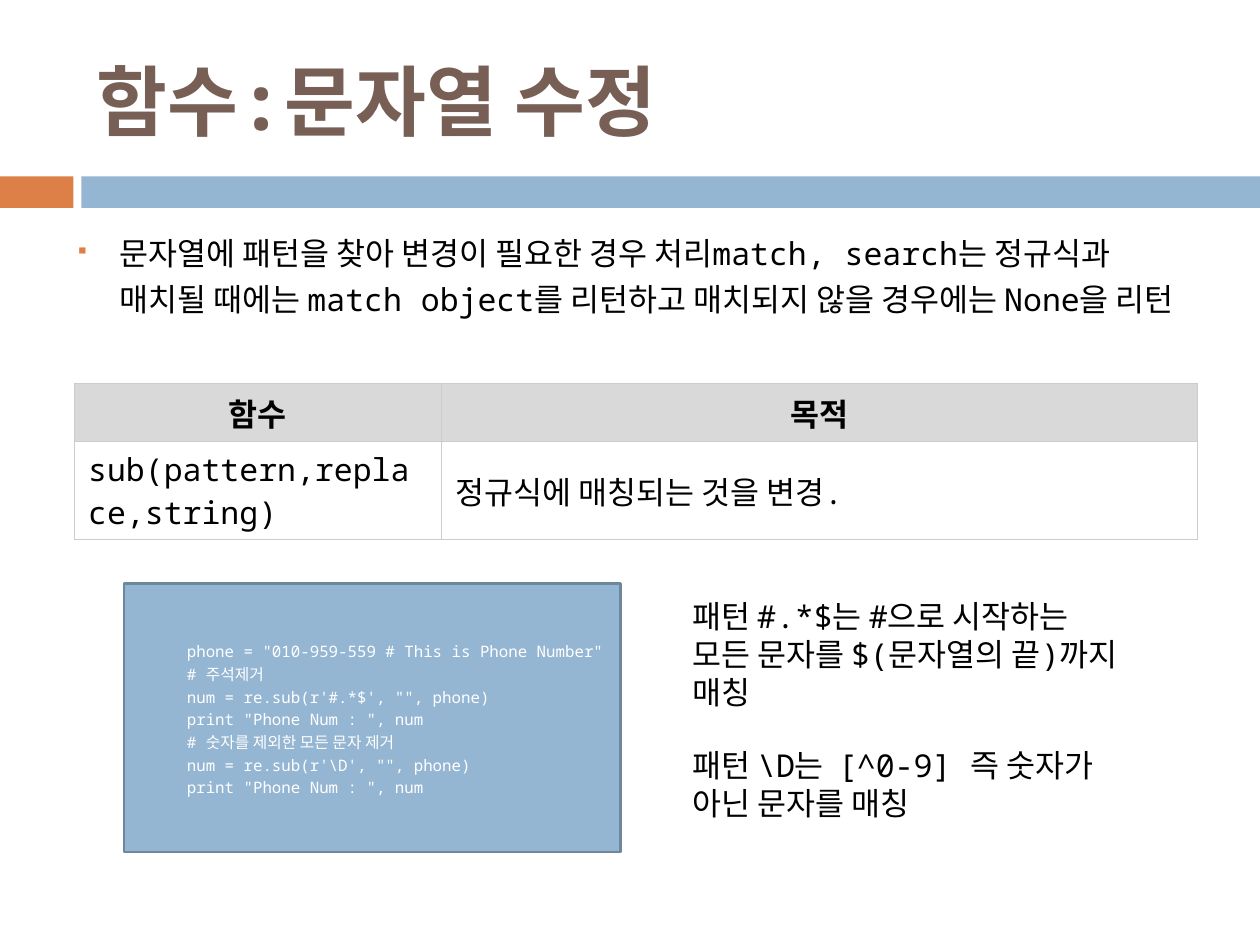
from lxml import etree
from pptx import Presentation
from pptx import util as u
from pptx.dml.color import RGBColor
from pptx.enum import shapes, text
from pptx.oxml import ns

FONT = "Noto Sans Mono"
BLUE, ORANGE, BROWN = "94B6D2", "DD8047", "775F55"
BLACK, WHITE, GREY, RULE = "000000", "FFFFFF", "D9D9D9", "CCCCCC"
MID = text.MSO_ANCHOR.MIDDLE

CODE = """phone = "010-959-559 # This is Phone Number"
# 주석제거
num = re.sub(r'#.*$', "", phone)
print "Phone Num : ", num
# 숫자를 제외한 모든 문자 제거
num = re.sub(r'\\D', "", phone)
print "Phone Num : ", num"""
INTRO = ("문자열에 패턴을 찾아 변경이 필요한 경우 처리match, search는 정규식과 매치될 때에는 "
         "match object를 리턴하고 매치되지 않을 경우에는 None을 리턴")
ROWS = [["함수", "목적"],
        ["sub(pattern,replace,string)", "정규식에 매칭되는 것을 변경."]]
NOTES = [(337.7, 72.7, "패턴 #.*$는 #으로 시작하는 모든 문자를 $(문자열의 끝)까지 매칭"),
         (422.6, 51.1, "패턴 \\D는  [^0-9] 즉 숫자가 아닌 문자를 매칭")]


def tint(code):
    return RGBColor.from_string(code)


def node(root, tag, **atts):
    return etree.SubElement(root, ns.qn(tag), atts)


class Deck:
    """Draws styled elements on the current slide, with lengths in points."""

    def __init__(self, wide, high):
        self.show = Presentation()
        self.show.slide_width, self.show.slide_height = u.Pt(wide), u.Pt(high)
        self.slide = self.show.slides.add_slide(self.show.slide_layouts[6])

    def style(self, frame, size, color, bold=False, space=None):
        for para in frame.paragraphs:
            if space:
                para.line_spacing = space
            for run in para.runs:
                font = run.font
                font.size, font.bold, font.name = u.Pt(size), bold, FONT
                font.color.rgb = tint(color)

    def rect(self, box, fill, line=None):
        form = self.slide.shapes.add_shape(shapes.MSO_SHAPE.RECTANGLE, *map(u.Pt, box))
        form.shadow.inherit = False
        form.fill.solid()
        form.fill.fore_color.rgb = tint(fill)
        if line:
            form.line.color.rgb, form.line.width = tint(line), u.Pt(1.5)
        else:
            form.line.fill.background()
        return form

    def label(self, box, words, size, color, bold=False, space=None, anchor=None):
        frame = self.slide.shapes.add_textbox(*map(u.Pt, box)).text_frame
        frame.word_wrap, frame.vertical_anchor = True, anchor
        frame.text = words
        self.style(frame, size, color, bold, space)
        return frame

    def point(self, box, words):
        para = self.label(box, words, 18, BLACK, space=1.2).paragraphs[0]
        para.space_before = u.Pt(7)
        props = para._p.get_or_add_pPr()
        props.set("marL", str(u.Pt(25.2)))
        props.set("indent", str(u.Pt(-25.2)))
        node(node(props, "a:buClr"), "a:srgbClr", val=ORANGE)
        node(props, "a:buSzPct", val="60000")
        node(props, "a:buChar", char="▪")

    def code(self, box, words):
        frame = self.rect(box, BLUE, "6D879B").text_frame
        frame.word_wrap, frame.vertical_anchor = True, MID
        frame.margin_left = 0
        frame.text = words
        self.style(frame, 9, WHITE, space=1.2)
        for para in frame.paragraphs:
            para.level, para.alignment = 1, text.PP_ALIGN.LEFT
            props = para._p.get_or_add_pPr()
            props.set("marL", str(u.Pt(36)))
            props.set("indent", "0")

    def cell(self, cell, words, head):
        props = cell._tc.get_or_add_tcPr()
        for side in "LRTB":
            edge = node(props, f"a:ln{side}", w=str(u.Pt(0.6)))
            node(node(edge, "a:solidFill"), "a:srgbClr", val=RULE)
        cell.fill.solid()
        cell.fill.fore_color.rgb = tint(GREY if head else WHITE)
        cell.vertical_anchor = MID
        cell.margin_left = cell.margin_right = u.Pt(7.9)
        frame = cell.text_frame
        frame.text = words
        if head:
            frame.paragraphs[0].alignment = text.PP_ALIGN.CENTER
        self.style(frame, 18, BLACK, head)

    def table(self, spot, wides, highs, rows):
        box = (*spot, sum(wides), sum(highs))
        grid = self.slide.shapes.add_table(
            len(highs), len(wides), *map(u.Pt, box)).table
        for col, wide in zip(grid.columns, wides):
            col.width = u.Pt(wide)
        for r, (row, high) in enumerate(zip(rows, highs)):
            grid.rows[r].height = u.Pt(high)
            for c, words in enumerate(row):
                self.cell(grid.cell(r, c), words, r == 0)


def main():
    deck = Deck(720, 540)
    deck.rect((0, 100.8, 42, 18), ORANGE)
    deck.rect((46.5, 100.8, 673.5, 18), BLUE)
    deck.label((48.2, 18, 642.2, 77.8), "함수:문자열 수정", 44, BROWN, True, anchor=MID)
    deck.point((36, 126, 648, 104.4), INTRO)
    deck.table((42.5, 219), (209.7, 432), (33.3, 56), ROWS)
    deck.code((70.8, 333.4, 283.7, 153.4), CODE)
    for top, high, words in NOTES:
        deck.label((388.4, top, 260.6, high), words, 18, BLACK)
    deck.show.save("out.pptx")


if __name__ == "__main__":
    main()
